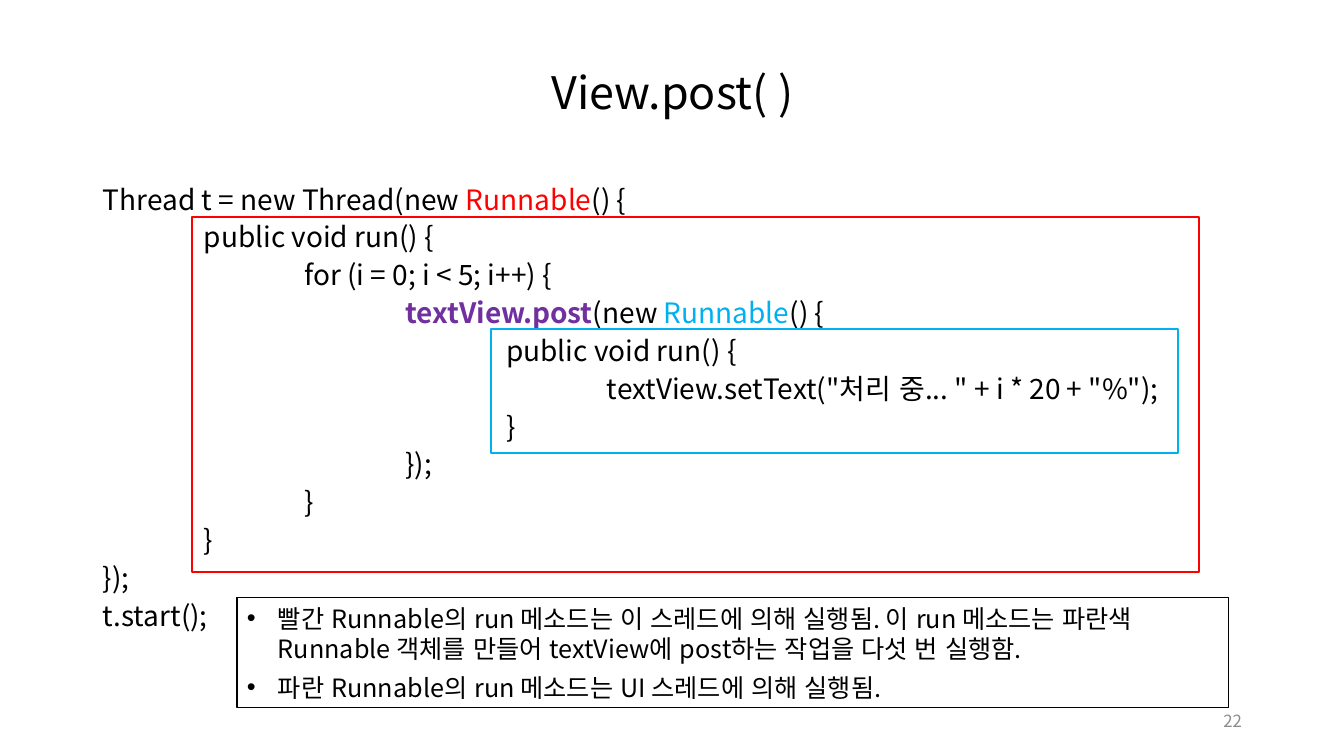
import pptx
import pptx.util
import pptx.dml.color
import pptx.enum.lang
import pptx.enum.shapes
import pptx.enum.text
import pptx.oxml.ns
import lxml.etree

FONT = "Noto Sans CJK KR"
COLORS = {"black": "000000", "red": "FF0000", "blue": "00B0F0",
          "purple": "7030A0", "gray": "8C8C8C"}

# Content: each code line is its depth and its (text, colour, bold) runs
TITLE = "View.post( )"
CODE = [
    (0, [("Thread t = new Thread(new ",), ("Runnable", "red"), ("() {",)]),
    (1, [("public void run() {",)]),
    (2, [("for (i = 0; i < 5; i++) {",)]),
    (3, [("textView.post", "purple", True), ("(new ",),
         ("Runnable", "blue"), ("() {",)]),
    (4, [("public void run() {",)]),
    (5, [('textView.setText("처리 중... " + i * 20 + "%");',)]),
    (4, [("}",)]),
    (3, [("});",)]),
    (2, [("}",)]),
    (1, [("}",)]),
    (0, [("});",)]),
    (0, [("t.start();",)]),
]
NOTES = [
    "빨간 Runnable의 run 메소드는 이 스레드에 의해 실행됨. 이 run 메소드는 "
    "파란색 Runnable 객체를 만들어 textView에 post하는 작업을 다섯 번 실행함.",
    "파란 Runnable의 run 메소드는 UI 스레드에 의해 실행됨.",
]
PAGE = "22"

# Places in pixels: left, top, width, height
AREAS = {"title": (93, 40, 1159, 110), "code": (93, 173, 1159, 507),
         "outer": (192, 217, 1007, 355), "inner": (491, 329, 687, 124),
         "notes": (237, 598, 992, 110), "page": (950, 701, 302, 40)}
STEP = 100.8    # indent of one code level
HANG = 31       # hanging indent of a note

ALIGN = pptx.enum.text.PP_ALIGN
ANCHOR = pptx.enum.text.MSO_ANCHOR


def px(n):
    return pptx.util.Emu(round(n * 914400 / 100.8))


def rgb(name):
    return pptx.dml.color.RGBColor.from_string(COLORS[name])


def area(name):
    return [px(n) for n in AREAS[name]]


def write(shape, lines, size, color="black", align=ALIGN.LEFT,
          anchor=ANCHOR.TOP, space=None, after=0, bullet=False):
    """Fill a shape with lines: (depth, list of (text, colour, bold) runs)."""
    frame = shape.text_frame
    frame.word_wrap = True
    frame.vertical_anchor = anchor
    for i, (depth, runs) in enumerate(lines):
        para = frame.paragraphs[0] if i == 0 else frame.add_paragraph()
        para.alignment = align
        para.line_spacing = space
        para.space_after = pptx.util.Pt(after)
        props = para._p.get_or_add_pPr()
        props.set("marL", str(px(HANG if bullet else depth * STEP)))
        props.set("indent", str(px(-HANG if bullet else 0)))
        if bullet:
            for tag, key, val in (("a:buFont", "typeface", "Arial"),
                                  ("a:buChar", "char", "•")):
                mark = lxml.etree.SubElement(props, pptx.oxml.ns.qn(tag))
                mark.set(key, val)
        for text, *style in runs:
            run = para.add_run()
            run.text = text
            font = run.font
            font.size = pptx.util.Pt(size)
            font.name = FONT
            font.language_id = pptx.enum.lang.MSO_LANGUAGE_ID.KOREAN
            font.color.rgb = rgb(style[0] if style else color)
            font.bold = len(style) > 1 and style[1]
            # East Asian letters take their own font entry
            asian = lxml.etree.SubElement(run._r.get_or_add_rPr(),
                                          pptx.oxml.ns.qn("a:ea"))
            asian.set("typeface", FONT)


def frame_box(name, color, width):
    shape = slide.shapes.add_shape(
        pptx.enum.shapes.MSO_SHAPE.RECTANGLE, *area(name))
    shape.shadow.inherit = False
    shape.fill.background()
    shape.line.color.rgb = rgb(color)
    shape.line.width = pptx.util.Pt(width)
    return shape


deck = pptx.Presentation()
deck.slide_width = px(1344)
deck.slide_height = px(756)
slide = deck.slides.add_slide(deck.slide_layouts[6])

# Title
write(slide.shapes.add_textbox(*area("title")), [(0, [(TITLE,)])], 32,
      align=ALIGN.CENTER, anchor=ANCHOR.MIDDLE, space=0.9)

# Code
write(slide.shapes.add_textbox(*area("code")), CODE, 20,
      space=pptx.util.Pt(27))

# Frames around the two run methods
frame_box("outer", "red", 1)
frame_box("inner", "blue", 1)

# Notes
write(frame_box("notes", "black", 0.75),
      [(0, [(note,)]) for note in NOTES], 18, after=6, bullet=True)

# Page number
write(slide.shapes.add_textbox(*area("page")), [(0, [(PAGE,)])], 12,
      color="gray", align=ALIGN.RIGHT, anchor=ANCHOR.MIDDLE)

deck.save("out.pptx")
